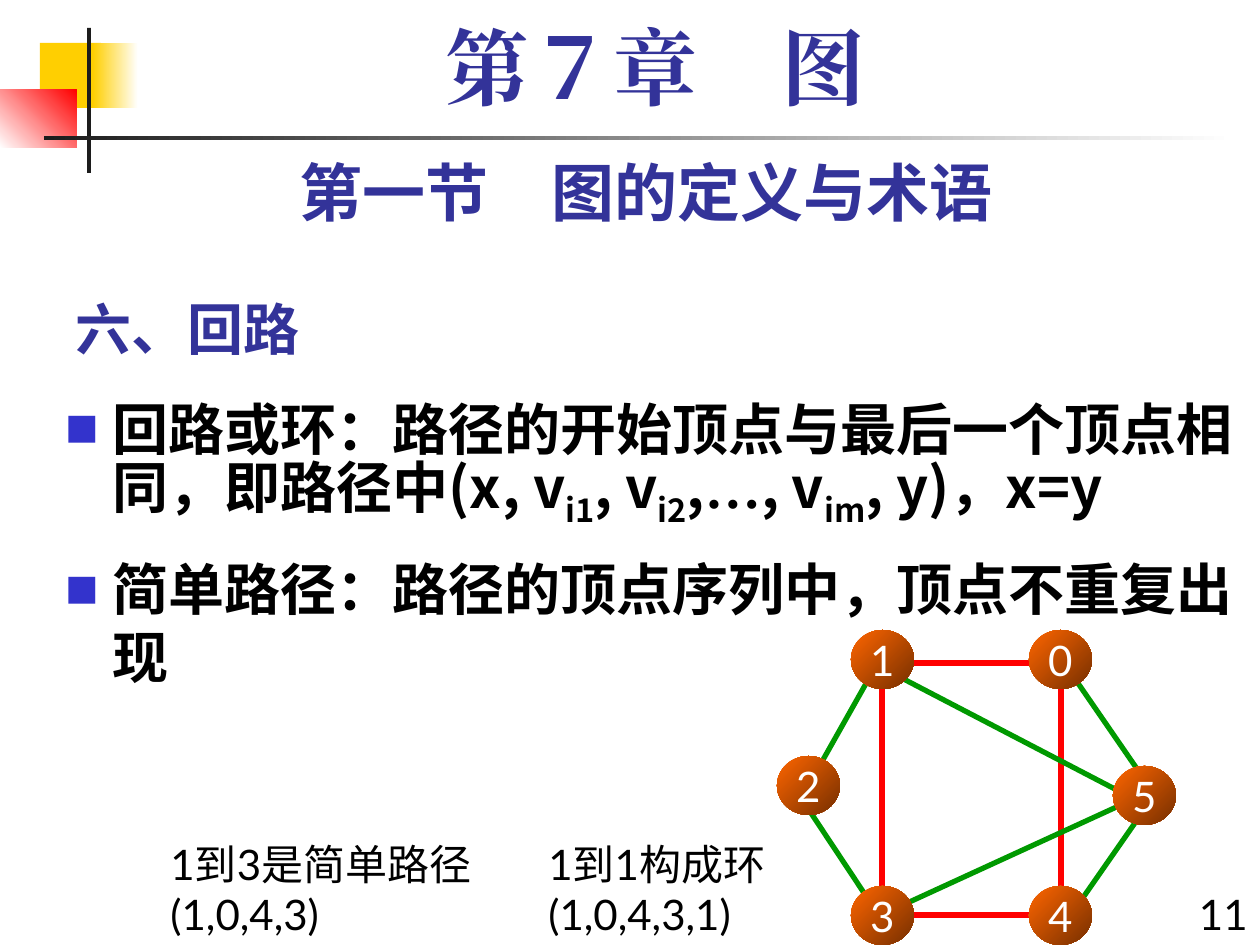
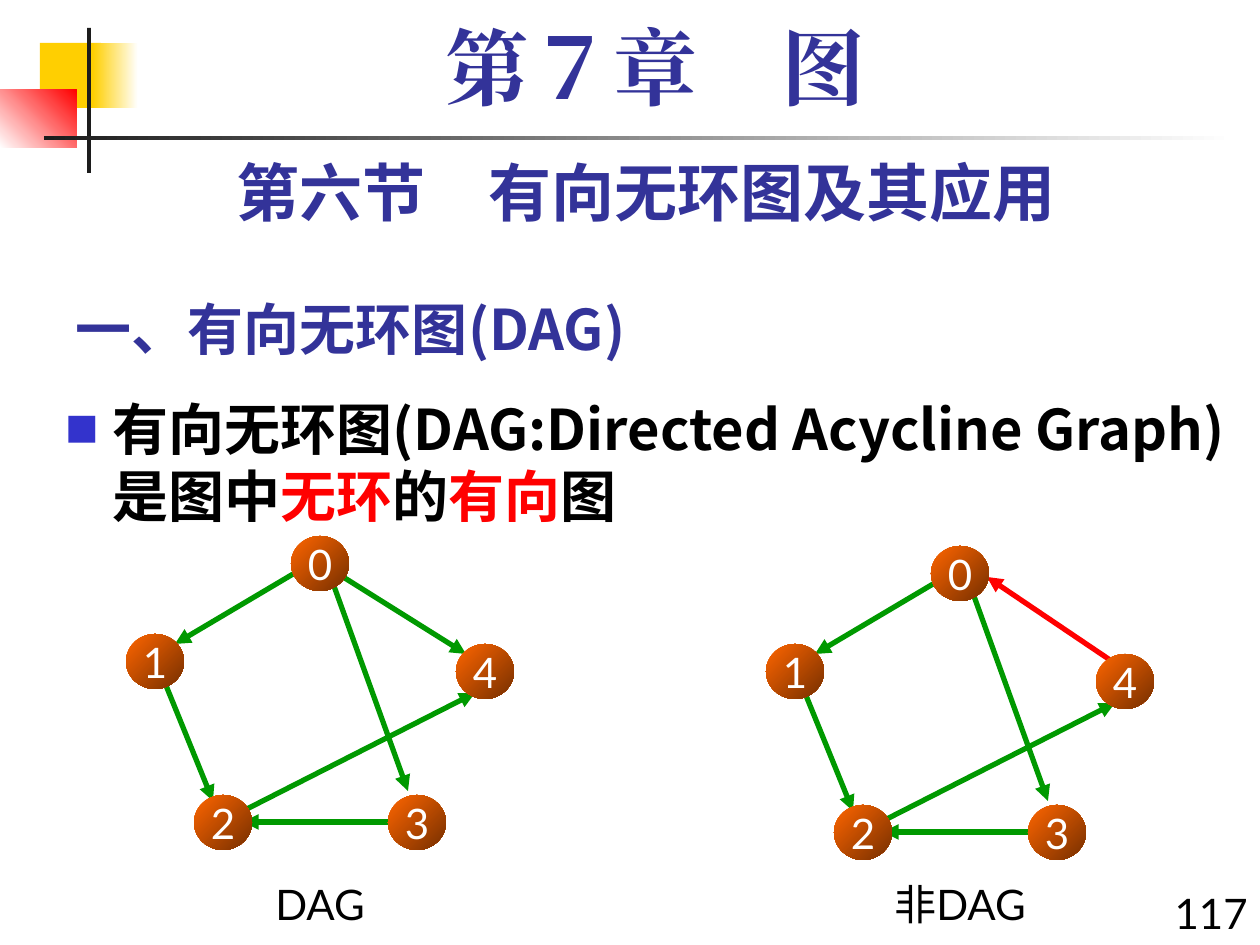
"""Build two lecture slides on circuits and directed acyclic graphs."""
from lxml.etree import SubElement
from pptx import Presentation
from pptx.enum.lang import MSO_LANGUAGE_ID
from pptx.enum.shapes import MSO_CONNECTOR, MSO_SHAPE
from pptx.enum.text import MSO_ANCHOR, PP_ALIGN
from pptx.dml.color import RGBColor
from pptx.oxml.ns import qn
from pptx.util import Pt

PX = 7257
NAVY, BLACK, WHITE, RED, GREEN = "333399", "000000", "FFFFFF", "FF0000", "009900"
GOLD, CHARCOAL, BULLET_BLUE = "FFCF01", "1C1C1C", "3333CC"
ORANGE, BROWN = "FF6600", "762F00"
SANS, CJK, SERIF = "Lato", "Noto Sans CJK SC", "Times New Roman"


def paint(fill, *colours, angle=0):
    if len(colours) == 1:
        fill.solid()
        fill.fore_color.rgb = RGBColor.from_string(colours[0])
        return
    fill.gradient()
    fill.gradient_angle = (360 - angle) % 360
    for stop, position, colour in zip(fill.gradient_stops, (0, 1), colours):
        stop.position = position
        stop.color.rgb = RGBColor.from_string(colour)


def write(frame, *runs, font=SANS, size=24, colour=BLACK, bold=False, align=PP_ALIGN.LEFT,
          anchor=MSO_ANCHOR.TOP, wrap=True, bullet=False, spacing=None, before=0):
    frame.word_wrap = wrap
    frame.vertical_anchor = anchor
    paragraph = frame.add_paragraph() if frame.text else frame.paragraphs[0]
    if bullet:
        props = paragraph._p.get_or_add_pPr()
        props.set("marL", str(47 * PX))
        props.set("indent", str(-47 * PX))
        SubElement(SubElement(props, qn("a:buClr")), qn("a:srgbClr"), val=BULLET_BLUE)
        SubElement(props, qn("a:buSzPct"), val="60000")
        SubElement(props, qn("a:buFont"), typeface=CJK)
        SubElement(props, qn("a:buChar"), char="■")
    paragraph.alignment = align
    paragraph.space_before = Pt(before)
    if spacing:
        paragraph.line_spacing = spacing
    for text, change in runs:
        run = paragraph.add_run()
        run.text = text
        run.font.size = Pt(size)
        run.font.bold = bold
        run.font.language_id = MSO_LANGUAGE_ID.SIMPLIFIED_CHINESE
        paint(run.font.fill, change.get("colour", colour))
        run.font.name = change.get("font", font)
        props = run._r.get_or_add_rPr()
        SubElement(props, qn("a:ea"), typeface=run.font.name)
        if "baseline" in change:
            props.set("baseline", change["baseline"])


SUBSCRIPT = {"baseline": "-25000"}
HIGHLIGHT = {"colour": RED}

ornaments = [
    ((40, 43, 61, 65), (GOLD,), 0),
    ((93, 43, 45, 65), (GOLD, WHITE), 0),
    ((0, 90, 77, 58), (WHITE, RED), 315),
    ((87, 28, 4, 145), (CHARCOAL,), 0),
    ((44, 136, 1191, 4), (CHARCOAL, WHITE), 0),
]

circuit_graph = {
    "node_size": (63, 59),
    "nodes": {"1": (851, 630), "3": (851, 886), "2": (777, 756),
              "5": (1113, 766), "4": (1029, 886), "0": (1029, 630)},
    "edges": [
        (1040, 663, 914, 663, RED), (1061, 684, 1061, 893, RED),
        (1071, 673, 1144, 779, GREEN), (872, 673, 819, 767, GREEN),
        (882, 905, 882, 684, RED), (1134, 799, 892, 673, GREEN),
        (872, 905, 809, 810, GREEN), (1050, 915, 892, 915, RED),
        (1134, 799, 903, 905, GREEN), (1144, 810, 1071, 915, GREEN),
    ],
    "directed": False,
    "offset": (0, 0),
}
acyclic_graph = {
    "node_size": (58, 55),
    "nodes": {"1": (126, 634), "3": (388, 795), "2": (194, 795),
              "4": (456, 644), "0": (291, 536)},
    "edges": [
        (340, 575, 466, 654, GREEN), (165, 683, 213, 801, GREEN),
        (310, 564, 175, 644, GREEN), (330, 575, 408, 791, GREEN),
        (388, 822, 243, 822, GREEN), (243, 811, 475, 693, GREEN),
    ],
    "directed": True,
    "offset": (0, 0),
}
back_edge = (473, 652, 347, 567, RED)
cyclic_graph = acyclic_graph | {
    "edges": [back_edge] + acyclic_graph["edges"][1:],
    "offset": (640, 10),
}

lessons = [
    {
        "section": "第一节　图的定义与术语",
        "title": "六、回路",
        "title_width": 788,
        "points": [
            [("回路或环：路径的开始顶点与最后一个顶点相同，即路径中(x, v", {}),
             ("i1", SUBSCRIPT), (", v", {}), ("i2", SUBSCRIPT), (",", {}),
             ("…", {"font": SERIF}), (", v", {}), ("im", SUBSCRIPT), (", y)，x=y", {})],
            [("简单路径：路径的顶点序列中，顶点不重复出现", {})],
        ],
        "graphs": [circuit_graph],
        "captions": [
            ("1到3是简单路径(1,0,4,3)", (158, 832, 347, 113), PP_ALIGN.LEFT),
            ("1到1构成环(1,0,4,3,1)", (536, 832, 290, 113), PP_ALIGN.LEFT),
            ("11", (1176, 882, 84, 63), PP_ALIGN.RIGHT),
        ],
    },
    {
        "section": "第六节　有向无环图及其应用",
        "title": "一、有向无环图(DAG)",
        "title_width": 1197,
        "points": [
            [("有向无环图(DAG:Directed Acycline Graph)是图中", {}), ("无环", HIGHLIGHT),
             ("的", {}), ("有向", HIGHLIGHT), ("图", {})],
        ],
        "graphs": [cyclic_graph, acyclic_graph],
        "captions": [
            ("DAG", (199, 872, 242, 63), PP_ALIGN.CENTER),
            ("非DAG", (829, 872, 262, 63), PP_ALIGN.CENTER),
            ("117", (1155, 881, 105, 63), PP_ALIGN.RIGHT),
        ],
    },
]

deck = Presentation()
deck.slide_width, deck.slide_height = 1260 * PX, 945 * PX
title_only = deck.slide_layouts[5]

for lesson in lessons:
    slide = deck.slides.add_slide(title_only)
    shapes = slide.shapes

    for place, colours, angle in ornaments:
        ornament = shapes.add_shape(MSO_SHAPE.RECTANGLE, *(n * PX for n in place))
        ornament.shadow.inherit = False
        ornament.line.fill.background()
        paint(ornament.fill, *colours, angle=angle)

    heading = shapes.title
    heading.left, heading.top = 63 * PX, 273 * PX
    heading.width, heading.height = lesson["title_width"] * PX, 95 * PX
    write(heading.text_frame, (lesson["title"], {}), font=CJK, size=32, colour=NAVY,
          bold=True, anchor=MSO_ANCHOR.BOTTOM)

    section = shapes.add_textbox(63 * PX, 147 * PX, 1166 * PX, 88 * PX)
    write(section.text_frame, (lesson["section"], {}), size=36, colour=NAVY,
          bold=True, align=PP_ALIGN.CENTER)

    points = shapes.add_textbox(53 * PX, 388 * PX, 1207 * PX, 557 * PX)
    for number, runs in enumerate(lesson["points"]):
        write(points.text_frame, *runs, font=CJK, size=32, bold=True, bullet=True,
              spacing=Pt(38.4), before=15 if number else 0)

    chapter = shapes.add_textbox(84 * PX, 21 * PX, 1144 * PX, 105 * PX)
    write(chapter.text_frame, ("第７章　图", {}), font=SERIF, size=48, colour=NAVY,
          bold=True, align=PP_ALIGN.CENTER, spacing=0.9)

    for graph in lesson["graphs"]:
        dx, dy = graph["offset"]
        for x1, y1, x2, y2, colour in graph["edges"]:
            edge = shapes.add_connector(MSO_CONNECTOR.STRAIGHT, (x1 + dx) * PX, (y1 + dy) * PX,
                                        (x2 + dx) * PX, (y2 + dy) * PX)
            edge.line.width = Pt(3)
            paint(edge.line.fill, colour)
            if graph["directed"]:
                SubElement(edge.line._get_or_add_ln(), qn("a:tailEnd"), type="triangle")
            SubElement(edge._element.spPr, qn("a:effectLst"))
        width, height = graph["node_size"]
        for label, (x, y) in graph["nodes"].items():
            node = shapes.add_shape(MSO_SHAPE.OVAL, (x + dx) * PX, (y + dy) * PX,
                                    width * PX, height * PX)
            node.shadow.inherit = False
            node.line.fill.background()
            paint(node.fill, ORANGE, BROWN, angle=45)
            node.text_frame.margin_left = node.text_frame.margin_right = 0
            write(node.text_frame, (label, {}), colour=WHITE, align=PP_ALIGN.CENTER,
                  anchor=MSO_ANCHOR.MIDDLE, wrap=False)

    for text, place, align in lesson["captions"]:
        caption = shapes.add_textbox(*(n * PX for n in place))
        write(caption.text_frame, (text, {}), align=align)

deck.save("out.pptx")
